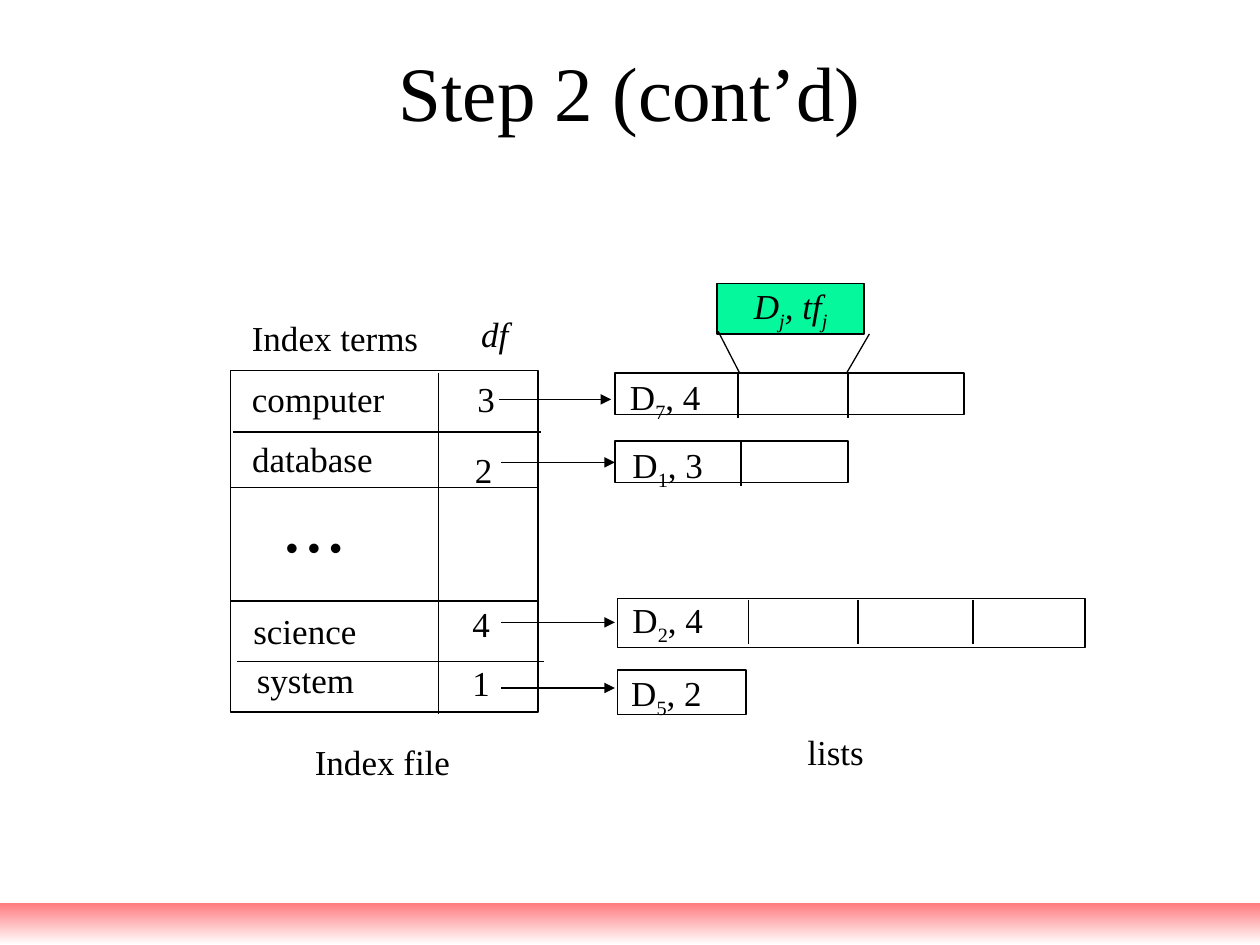
from lxml import etree
from pptx import Presentation
from pptx.dml.color import RGBColor
from pptx.enum.shapes import MSO_CONNECTOR, MSO_SHAPE
from pptx.enum.text import MSO_ANCHOR, MSO_AUTO_SIZE, PP_ALIGN
from pptx.oxml.ns import qn
from pptx.util import Emu, Pt

PX = 9144
COLORS = {"ink": "000000", "paper": "FFFFFF", "tag": "06F89D", "band": "FF7C80"}
FONT = {"name": "Times New Roman", "size": Pt(20)}
INSETS = {"margin_left": 10 * PX, "margin_right": 10 * PX,
          "margin_top": 5 * PX, "margin_bottom": 5 * PX}


def px(*values):
    return [Emu(v * PX) for v in values]


def rgb(name):
    return RGBColor.from_string(COLORS[name])


def apply(target, values):
    for name, value in values.items():
        setattr(target, name, value)


def write(tf, runs, align=PP_ALIGN.LEFT, wrap=False, **font):
    apply(tf, {**INSETS, "word_wrap": wrap})
    p = tf.paragraphs[0]
    p.alignment = align
    for i, text in enumerate(runs):
        r = p.add_run()
        r.text = text
        apply(r.font, {**FONT, **font})
        r.font.color.rgb = rgb("ink")
        if i % 2:
            r.font._element.set("baseline", "-25000")


def add_text(s, box, *runs, **style):
    tf = s.shapes.add_textbox(*px(*box)).text_frame
    write(tf, runs, **style)
    tf.auto_size = MSO_AUTO_SIZE.SHAPE_TO_FIT_TEXT


def add_box(s, box, fill="paper"):
    sp = s.shapes.add_shape(MSO_SHAPE.RECTANGLE, *px(*box))
    sp.shadow.inherit = False
    sp.fill.solid()
    sp.fill.fore_color.rgb = rgb(fill)
    sp.line.color.rgb = rgb("ink")
    sp.line.width = Pt(1)
    return sp


def add_line(s, x1, y1, x2, y2, width=1, arrow=False):
    cxn = s.shapes.add_connector(MSO_CONNECTOR.STRAIGHT, *px(x1, y1, x2, y2))
    cxn.line.color.rgb = rgb("ink")
    cxn.line.width = Pt(width)
    if arrow:
        etree.SubElement(cxn.line._get_or_add_ln(), qn("a:tailEnd"), type="triangle")
    etree.SubElement(cxn._element.spPr, qn("a:effectLst"))


def add_title(s, box, text):
    sp = s.shapes.title
    apply(sp, dict(zip(("left", "top", "width", "height"), px(*box))))
    sp.text_frame.vertical_anchor = MSO_ANCHOR.MIDDLE
    write(sp.text_frame, [text], PP_ALIGN.CENTER, wrap=True, size=Pt(44))


def add_band(s, box):
    sp = add_box(s, box)
    sp.line.fill.background()
    sp.fill.gradient()
    sp.fill.gradient_angle = 270
    for stop, name, position in zip(sp.fill.gradient_stops, ("band", "paper"), (0, 1)):
        stop.color.rgb = rgb(name)
        stop.position = position


def add_index_file(s, x, y, w, h):
    add_box(s, (x, y, w, h))
    add_line(s, x + 165, y + 2, x + 165, y + h + 2)
    for dx, dy in ((2, 49), (0, 93), (0, 183), (5, 231)):
        add_line(s, x + dx, y + dy, x + dx + w, y + dy)
    terms = (("computer", 7, 1, 125), ("database", 7, 48, 116),
             ("science", 8, 185, 102), ("system", 11, 224, 97))
    for term, dx, dy, tw in terms:
        add_text(s, (x + dx, y + dy, tw, 44), term, align=PP_ALIGN.CENTER)
    for df, dx, dy in (("3", 186, 1), ("2", 184, 57), ("4", 182, 179), ("1", 182, 226)):
        add_text(s, (x + dx, y + dy, 34, 44), df)
    add_text(s, (x + 34, y + 118, 68, 44), "• • •", name="Arial")
    add_text(s, (x + 7, y - 48, 152, 44), "Index terms")
    add_text(s, (x + 189, y - 51, 43, 44), "df", italic=True)
    add_text(s, (x + 57, y + 289, 129, 44), "Index file")


def add_posting_list(s, box, doc, tf, label, dividers, arrow):
    x, y, w, h = box
    add_box(s, box)
    for dx in dividers:
        add_line(s, x + dx, y + 1, x + dx, y + 36)
    start, end, dy = arrow
    add_line(s, x + start, y + dy, x + end, y + dy, arrow=True)
    dx, dy = label
    add_text(s, (x + dx, y + dy, 76, 48), "D", doc, ", " + tf, align=PP_ALIGN.CENTER)


def add_posting_tag(s, x, y, w, h):
    sp = add_box(s, (x, y, w, h), "tag")
    sp.text_frame.vertical_anchor = MSO_ANCHOR.MIDDLE
    write(sp.text_frame, ["D", "j", ", tf", "j"], PP_ALIGN.CENTER, italic=True)
    add_line(s, x + 1, y + h - 2, x + 18, y + 71, 0.75)
    add_line(s, x + w + 4, y + h, x + 103, y + 71, 0.75)


def main():
    prs = Presentation()
    prs.slide_width, prs.slide_height = px(1000, 750)
    s = prs.slides.add_slide(prs.slide_layouts[5])
    add_band(s, (0, 717, 1000, 33))
    add_title(s, (50, 30, 900, 84), "Step 2 (cont’d)")
    add_index_file(s, 183, 294, 244, 271)
    postings = (
        ((488, 296, 277, 33), "7", "4", (2, -3), (98, 185), (-92, -3, 21)),
        ((488, 350, 185, 33), "1", "3", (4, -3), (100,), (-90, 0, 17)),
        ((490, 475, 371, 39), "2", "4", (2, -5), (104, 191, 282), (-92, -2, 19)),
        ((490, 532, 102, 35), "5", "2", (1, -4), (), (-92, -2, 14)),
    )
    for posting in postings:
        add_posting_list(s, *posting)
    add_posting_tag(s, 569, 225, 117, 40)
    add_text(s, (631, 575, 65, 44), "lists")
    prs.save("out.pptx")


if __name__ == "__main__":
    main()
